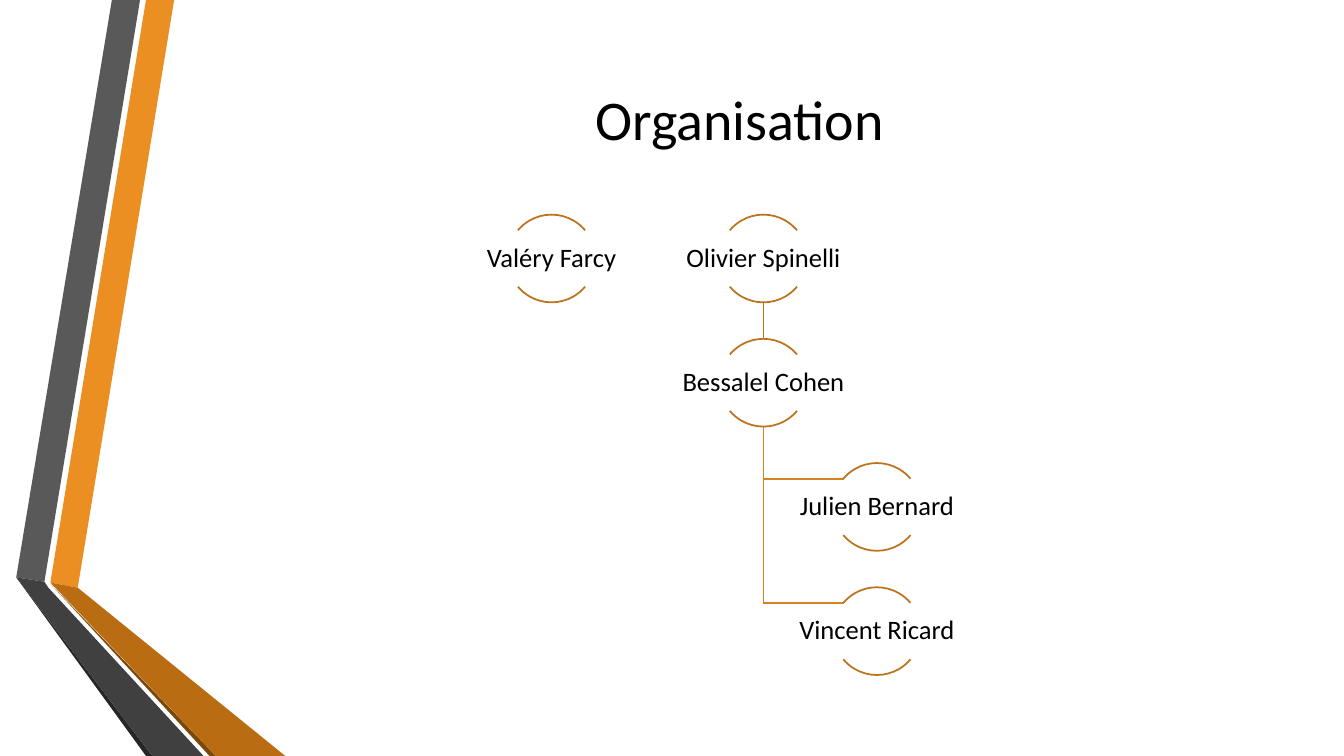
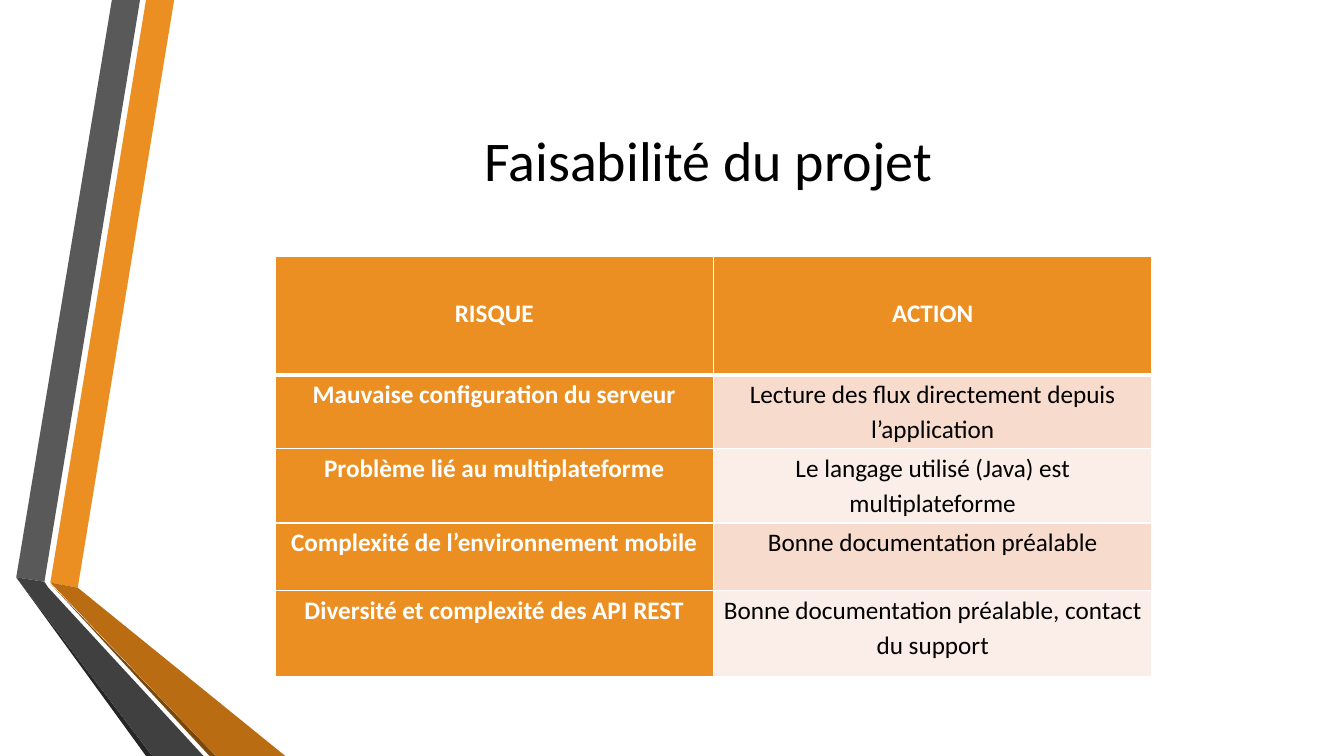
"""Builds two slides: a team organisation chart and a project risk table."""
from lxml.etree import SubElement
from pptx import Presentation
from pptx.dml.color import RGBColor
from pptx.enum.shapes import MSO_CONNECTOR, MSO_SHAPE
from pptx.enum.text import MSO_ANCHOR, PP_ALIGN
from pptx.oxml.ns import qn
from pptx.util import Cm, Pt

FONT = "Calibri"
BLACK = RGBColor(0x00, 0x00, 0x00)
WHITE = RGBColor(0xFF, 0xFF, 0xFF)
ORANGE = RGBColor(0xEB, 0x8F, 0x22)
BROWN = RGBColor(0xB9, 0x6C, 0x11)
DARK_BROWN = RGBColor(0x7B, 0x48, 0x0B)
GREY = RGBColor(0x59, 0x59, 0x59)
DARK_GREY = RGBColor(0x40, 0x40, 0x40)
CHARCOAL = RGBColor(0x26, 0x26, 0x26)
ARC = RGBColor(0xBC, 0x73, 0x1B)
BRANCH = RGBColor(0xD5, 0x82, 0x1F)
ROW_TINTS = (RGBColor(0xF7, 0xDB, 0xCD), RGBColor(0xFB, 0xEE, 0xE8))

SLIDE_W, SLIDE_H = 33.87, 19.05
BANDS = [
    (ORANGE, [(1.27, 14.68), (1.96, 14.81), (4.39, 0), (3.68, 0)]),
    (GREY, [(3.53, 0), (2.82, 0), (0.41, 14.55), (1.12, 14.66)]),
    (CHARCOAL, [(0.41, 14.55), (3.68, SLIDE_H), (3.84, SLIDE_H)]),
    (DARK_BROWN, [(1.27, 14.71), (5.28, SLIDE_H), (5.44, SLIDE_H)]),
    (BROWN, [(1.27, 14.68), (5.44, SLIDE_H), (7.19, SLIDE_H), (1.96, 14.81)]),
    (DARK_GREY, [(5.13, SLIDE_H), (1.22, 14.81), (1.12, 14.66), (0.41, 14.55),
                 (3.84, SLIDE_H)]),
]

LEFT_X, TRUNK_X, REPORT_X = 13.9, 19.24, 22.1
PEOPLE = [
    ("Valéry Farcy", LEFT_X, 0),
    ("Olivier Spinelli", TRUNK_X, 0),
    ("Bessalel Cohen", TRUNK_X, 1),
    ("Julien Bernard", REPORT_X, 2),
    ("Vincent Ricard", REPORT_X, 3),
]
CHART_TOP, ROW_PITCH, CIRCLE = 5.41, 3.13, 2.21
NAME_W, NAME_H = 4.39, 1.42
ARC_ANGLES = [(220, 320), (40, 140)]
BRANCH_END = 21.26

RISKS = [
    ("RISQUE", "ACTION"),
    ("Mauvaise configuration du serveur",
     "Lecture des flux directement depuis l’application"),
    ("Problème lié au multiplateforme",
     "Le langage utilisé (Java) est multiplateforme"),
    ("Complexité de l’environnement mobile", "Bonne documentation préalable"),
    ("Diversité et complexité des API REST",
     "Bonne documentation préalable, contact du support"),
]
ROW_HEIGHTS = [3, 1.85, 1.88, 1.7, 2.18]
COL_W = 11.05


def style(p, size, color, bold=False):
    p.alignment = PP_ALIGN.CENTER
    p.font.name, p.font.size, p.font.bold = FONT, Pt(size), bold
    p.font.color.rgb = color


def add_slide(prs, title, left, top):
    s = prs.slides.add_slide(prs.slide_layouts[5])
    for color, points in BANDS:
        start, *rest = [(Cm(x), Cm(y)) for x, y in points]
        builder = s.shapes.build_freeform(*start)
        builder.add_line_segments(rest)
        sp = builder.convert_to_shape()
        sp.shadow.inherit = False
        sp.fill.solid()
        sp.fill.fore_color.rgb = color
        sp.line.fill.background()
    ph = s.shapes.title
    ph.left, ph.top, ph.width, ph.height = Cm(left), Cm(top), Cm(27.84), Cm(4.88)
    tf = ph.text_frame
    tf.text = title
    tf.vertical_anchor = MSO_ANCHOR.MIDDLE
    style(tf.paragraphs[0], 40, BLACK)
    return s


def add_line(s, x1, y1, x2, y2, color):
    line = s.shapes.add_connector(MSO_CONNECTOR.STRAIGHT,
                                  Cm(x1), Cm(y1), Cm(x2), Cm(y2))
    line.line.color.rgb = color
    line.line.width = Pt(1.25)
    SubElement(line.element.spPr, qn("a:effectLst"))


def add_person(s, name, center, row):
    top = CHART_TOP + row * ROW_PITCH
    for angles in ARC_ANGLES:
        sp = s.shapes.add_shape(MSO_SHAPE.ARC, Cm(center - CIRCLE / 2), Cm(top),
                                Cm(CIRCLE), Cm(CIRCLE))
        for i, angle in enumerate(angles):
            sp.adjustments[i] = angle * 0.6
        sp.shadow.inherit = False
        sp.fill.background()
        sp.line.color.rgb = ARC
        sp.line.width = Pt(1.25)
    box = s.shapes.add_textbox(Cm(center - NAME_W / 2),
                               Cm(top + (CIRCLE - NAME_H) / 2),
                               Cm(NAME_W), Cm(NAME_H))
    tf = box.text_frame
    tf.word_wrap = True
    tf.vertical_anchor = MSO_ANCHOR.MIDDLE
    tf.margin_left = tf.margin_right = tf.margin_top = tf.margin_bottom = Cm(0.03)
    tf.text = name
    style(tf.paragraphs[0], 19, BLACK)
    tf.paragraphs[0].line_spacing = 0.9


def add_organisation(s):
    def row_top(row):
        return CHART_TOP + row * ROW_PITCH

    add_line(s, TRUNK_X, row_top(0) + CIRCLE, TRUNK_X, row_top(1), ARC)
    branches = [row_top(row) + (CIRCLE - NAME_H) / 2 for row in (2, 3)]
    add_line(s, TRUNK_X, row_top(1) + CIRCLE, TRUNK_X, branches[-1], BRANCH)
    for y in branches:
        add_line(s, TRUNK_X, y, BRANCH_END, y, BRANCH)
    for person in PEOPLE:
        add_person(s, *person)


def set_borders(cell, **widths):
    tc_pr = cell._tc.get_or_add_tcPr()
    for side in "LRTB":
        ln = SubElement(tc_pr, qn(f"a:ln{side}"), w=str(Pt(widths.get(side, 1))))
        fill = SubElement(ln, qn("a:solidFill"))
        SubElement(fill, qn("a:srgbClr"), val=str(WHITE))


def add_risks(s):
    frame = s.shapes.add_table(len(RISKS), 2, Cm(6.93), Cm(6.45),
                               Cm(2 * COL_W), Cm(sum(ROW_HEIGHTS)))
    table = frame.table
    for col in table.columns:
        col.width = Cm(COL_W)
    for r, (texts, height) in enumerate(zip(RISKS, ROW_HEIGHTS)):
        table.rows[r].height = Cm(height)
        for c, text in enumerate(texts):
            cell = table.cell(r, c)
            strong = r == 0 or c == 0
            set_borders(cell, **{0: {"B": 3}, 1: {"T": 3}}.get(r, {}))
            cell.fill.solid()
            cell.fill.fore_color.rgb = ORANGE if strong else ROW_TINTS[(r - 1) % 2]
            cell.margin_left = cell.margin_right = Cm(0.19)
            cell.margin_top = Cm(0)
            cell.margin_bottom = Cm(0 if r else 0.2)
            cell.vertical_anchor = MSO_ANCHOR.TOP if r else MSO_ANCHOR.MIDDLE
            cell.text = text
            p = cell.text_frame.paragraphs[0]
            style(p, 18, WHITE if strong else BLACK, strong)
            p.line_spacing = 1.15


def main():
    prs = Presentation()
    prs.slide_width, prs.slide_height = Cm(SLIDE_W), Cm(SLIDE_H)
    add_organisation(add_slide(prs, "Organisation", 4.72, 0.53))
    add_risks(add_slide(prs, "Faisabilité du projet", 3.93, 1.57))
    prs.save("out.pptx")


if __name__ == "__main__":
    main()
